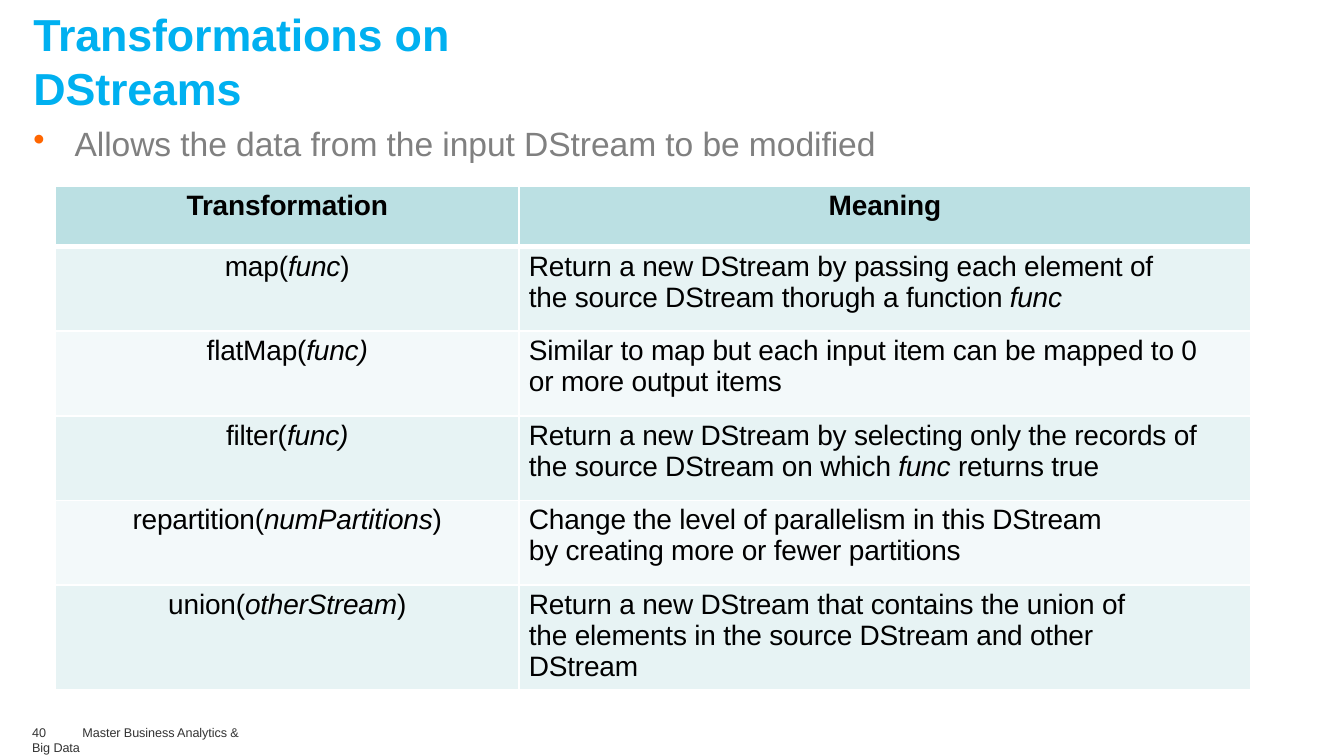
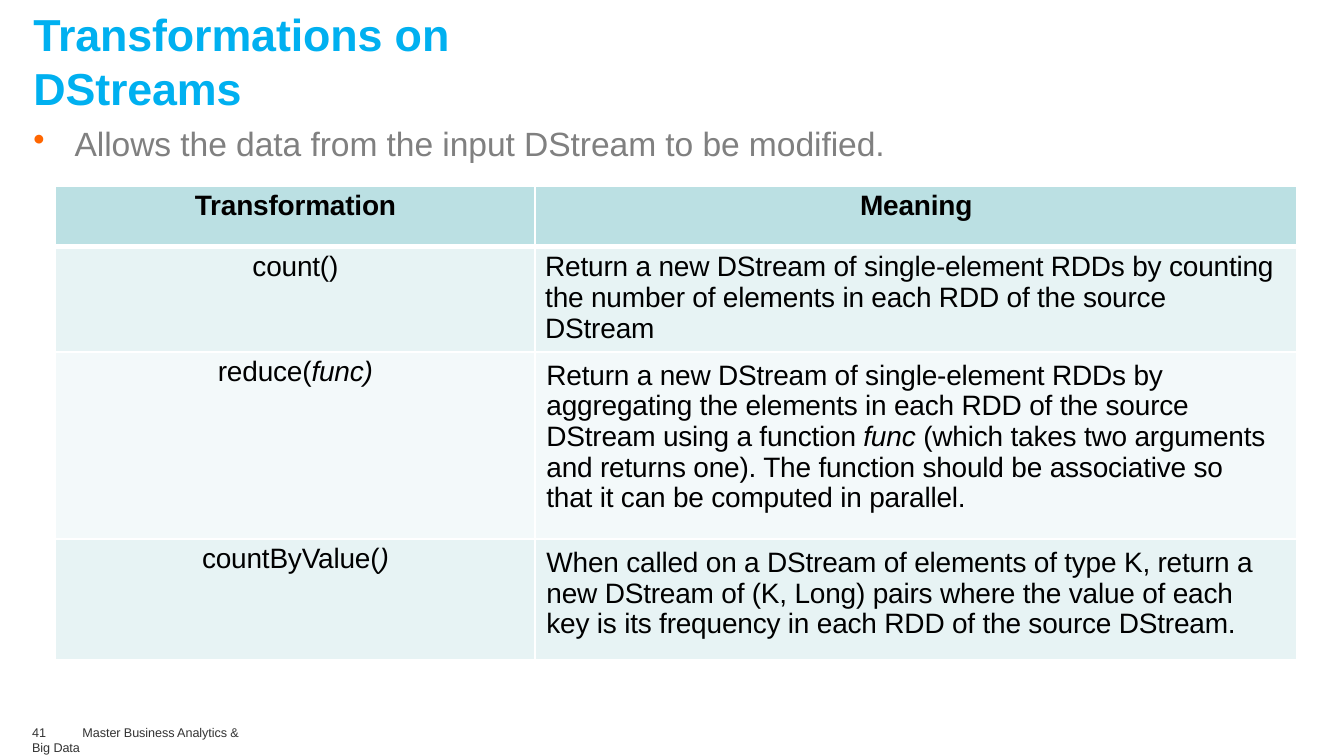
from dataclasses import dataclass

from lxml import etree
from pptx import Presentation
from pptx import util as u
from pptx.dml.color import RGBColor
from pptx.enum import text
from pptx.oxml import ns

COLOURS = {
    "title": "00B0F0",
    "body": "808080",
    "bullet": "FF6600",
    "footer": "333333",
    "cell": "000000",
    "border": "FFFFFF",
    "header": "BBE0E3",
    "odd": "E7F3F4",
    "even": "F3F9FA",
}
FONTS = {
    "title": {"name": "Arial", "size": u.Pt(32), "bold": True},
    "body": {"name": "Arial", "size": u.Pt(24)},
    "footer": {"name": "Arial", "size": u.Pt(9)},
    "cell": {"name": "Arial", "size": u.Pt(20)},
}
TRACKING = {"title": -0.1, "body": -0.06, "footer": -0.07, "cell": -0.17}
THIN, THICK = 1.5, 4.25
HEADER_HEIGHT = 1.52


@dataclass(frozen=True)
class Row:
    """Texts alternate between upright and italic parts; lengths are in cm."""
    name: tuple[str, ...]
    meaning: tuple[str, ...]
    right: float
    height: float = 2.13
    top: float = 0.1
    indent: float = 0.25
    spacing: float = 1.0


@dataclass(frozen=True)
class TablePage:
    number: int
    statement: str
    columns: tuple[float, float]
    rows: tuple[Row, ...]


PAGES = (
    TablePage(40, "Allows the data from the input DStream to be modified", (11.68, 18.44), (
        Row(("map(", "func", ")"),
            ("Return a new DStream by passing each element of the source DStream "
             "thorugh a function ", "func"), 1.78),
        Row(("flatMap(", "func)"),
            ("Similar to map but each input item can be mapped to 0 or more output items",),
            0.84),
        Row(("filter(", "func)"),
            ("Return a new DStream by selecting only the records of the source DStream "
             "on which ", "func", " returns true"), 0.71),
        Row(("repartition(", "numPartitions", ")"),
            ("Change the level of parallelism in this DStream by creating more or fewer "
             "partitions",), 3.2),
        Row(("union(", "otherStream", ")"),
            ("Return a new DStream that contains the union of the elements in the source "
             "DStream and other DStream",), 2.5),
    )),
    TablePage(41, "Allows the data from the input DStream to be modified.", (12.09, 19.2), (
        Row(("count()",),
            ("Return a new DStream of single-element RDDs by counting the number of "
             "elements in each RDD of the source DStream",), 0.45),
        Row(("reduce(", "func)"),
            ("Return a new DStream of single-element RDDs by aggregating the elements in "
             "each RDD of the source DStream using a function ", "func",
             " (which takes two arguments and returns one). The function should be "
             "associative so that it can be computed in parallel."),
            0.7, height=4.72, top=0.23, indent=0.28, spacing=0.98),
        Row(("countByValue(", ")"),
            ("When called on a DStream of elements of type K, return a new DStream of "
             "(K, Long) pairs where the value of each key is its frequency in each RDD of "
             "the source DStream.",),
            0.7, height=3.05, top=0.23, indent=0.28, spacing=0.98),
    )),
)


def add_element(parent, tag: str, **attributes: str):
    element = etree.SubElement(parent, ns.qn(tag))
    for name, value in attributes.items():
        element.set(name, value)
    return element


def write(para, parts: tuple[str, ...], style: str, bold: bool = False) -> None:
    """Write the parts as runs, every second one in italics."""
    for index, part in enumerate(parts):
        span = para.add_run()
        span.text = part
        values = dict(FONTS[style], italic=index % 2 == 1)
        if bold:
            values["bold"] = True
        for name, value in values.items():
            setattr(span.font, name, value)
        span.font.color.rgb = RGBColor.from_string(COLOURS[style])
        span.font._element.set("spc", str(round(TRACKING[style] * 100)))


def set_indent(para, left: float, first: float = 0):
    properties = para._p.get_or_add_pPr()
    properties.set("marL", str(u.Cm(left)))
    properties.set("indent", str(u.Cm(first)))
    return properties


def add_text_box(page, left: float, top: float, width: float, height: float):
    """Add a box without side margins and return its first paragraph."""
    box = page.shapes.add_textbox(u.Cm(left), u.Cm(top), u.Cm(width), u.Cm(height))
    values = {"margin_left": 0, "margin_right": 0, "margin_top": u.Cm(0.03),
              "margin_bottom": 0, "word_wrap": True,
              "auto_size": text.MSO_AUTO_SIZE.SHAPE_TO_FIT_TEXT}
    for name, value in values.items():
        setattr(box.text_frame, name, value)
    return box.text_frame.paragraphs[0]


def add_title(page) -> None:
    para = add_text_box(page, 0.81, 0.15, 15.7, 1.42)
    set_indent(para, 0.03)
    write(para, ("Transformations on DStreams",), "title")


def add_statement(page, statement: str) -> None:
    para = add_text_box(page, 0.81, 3.07, 21.6, 1.09)
    properties = set_indent(para, 1.07, -1.04)
    colour = add_element(properties, "a:buClr")
    add_element(colour, "a:srgbClr", val=COLOURS["bullet"])
    add_element(properties, "a:buChar", char="•")
    write(para, (statement,), "body")


def add_footer(page, number: int) -> None:
    para = add_text_box(page, 0.71, 18.24, 5.84, 0.43)
    properties = set_indent(para, 0.1)
    tabs = add_element(properties, "a:tabLst")
    add_element(tabs, "a:tab", pos=str(u.Cm(0.86)), algn="l")
    write(para, (f"{number}\tMaster Business Analytics & Big Data",), "footer")


def set_borders(cell, top: float, bottom: float) -> None:
    properties = cell._tc.get_or_add_tcPr()
    widths = {"a:lnL": THIN, "a:lnR": THIN, "a:lnT": top, "a:lnB": bottom}
    for index, (tag, width) in enumerate(widths.items()):
        line = add_element(properties, tag, w=str(u.Pt(width)))
        fill = add_element(line, "a:solidFill")
        add_element(fill, "a:srgbClr", val=COLOURS["border"])
        properties.insert(index, line)


def format_cell(cell, fill: str, margin_top: float, margin_right: float = 0):
    """Fill the cell, set its margins and return its first paragraph."""
    cell.fill.solid()
    cell.fill.fore_color.rgb = RGBColor.from_string(COLOURS[fill])
    margins = {"left": 0, "right": margin_right, "top": margin_top, "bottom": 0}
    for side, length in margins.items():
        setattr(cell, f"margin_{side}", u.Cm(length))
    return cell.text_frame.paragraphs[0]


def add_transformations(page, content: TablePage) -> None:
    heights = (HEADER_HEIGHT, *(row.height for row in content.rows))
    table = page.shapes.add_table(
        len(heights), len(content.columns), u.Cm(1.4), u.Cm(4.7),
        u.Cm(sum(content.columns)), u.Cm(sum(heights))).table
    table.first_row = table.horz_banding = False
    for column, width in zip(table.columns, content.columns):
        column.width = u.Cm(width)
    for line, height in zip(table.rows, heights):
        line.height = u.Cm(height)

    for cell, heading in zip(table.rows[0].cells, ("Transformation", "Meaning")):
        para = format_cell(cell, "header", 0.1)
        para.alignment = text.PP_ALIGN.CENTER
        write(para, (heading,), "cell", bold=True)
        set_borders(cell, THIN, THICK)

    for index, row in enumerate(content.rows, 1):
        fill = "odd" if index % 2 else "even"
        name_cell, meaning_cell = table.rows[index].cells
        para = format_cell(name_cell, fill, 0.1)
        para.alignment = text.PP_ALIGN.CENTER
        write(para, row.name, "cell")
        para = format_cell(meaning_cell, fill, row.top, row.right)
        set_indent(para, row.indent)
        para.line_spacing = row.spacing
        write(para, row.meaning, "cell")
        for cell in (name_cell, meaning_cell):
            set_borders(cell, THICK if index == 1 else THIN, THIN)


def main() -> None:
    deck = Presentation()
    deck.slide_width, deck.slide_height = u.Cm(33.87), u.Cm(19.05)
    for content in PAGES:
        page = deck.slides.add_slide(deck.slide_layouts[6])
        add_title(page)
        add_statement(page, content.statement)
        add_transformations(page, content)
        add_footer(page, content.number)
    deck.save("out.pptx")


if __name__ == "__main__":
    main()
